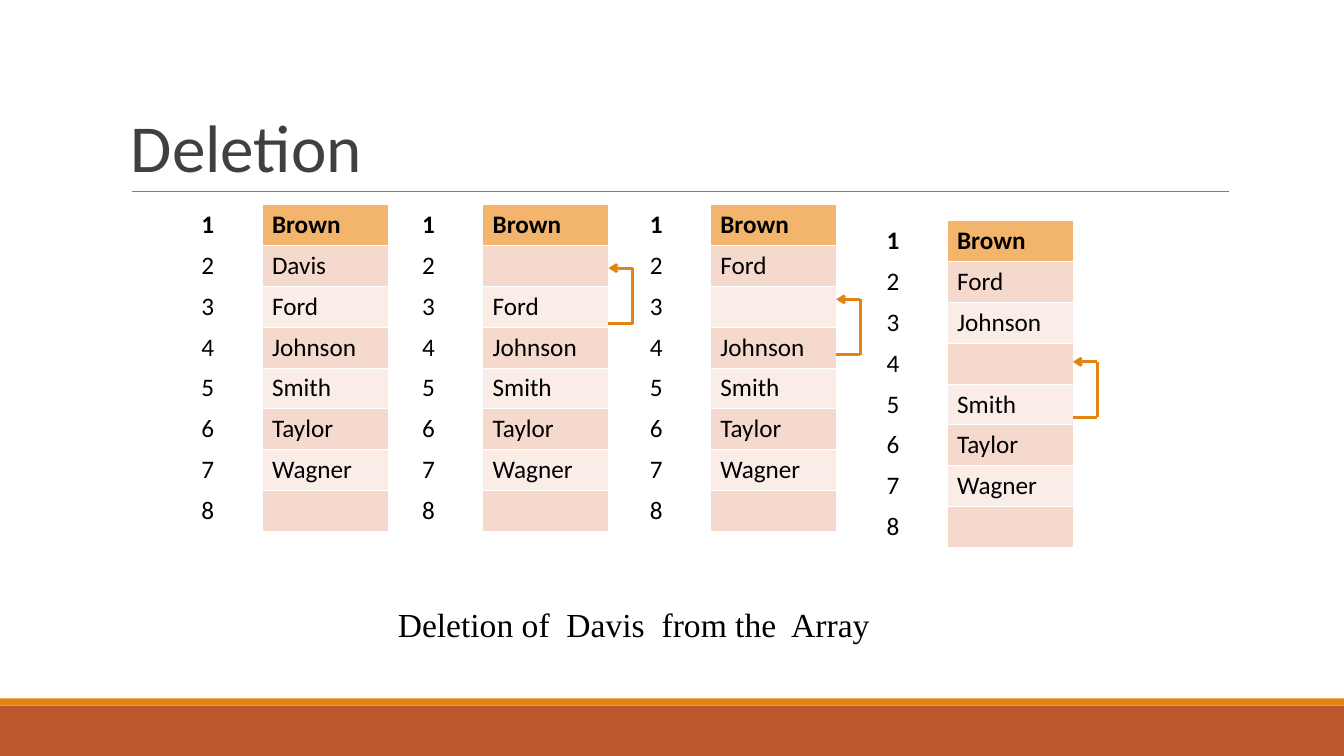
import pptx
import pptx.util
import pptx.dml.color
import pptx.enum.shapes
import pptx.enum.text
import pptx.oxml
import pptx.oxml.ns
from lxml import etree

Inches = pptx.util.Inches
Pt = pptx.util.Pt

COLOURS = {
    "white": "FFFFFF", "black": "000000", "title": "404040", "rule": "7F7F7F",
    "orange": "E48312", "rust": "BD582C",
    "header": "F3B56C", "band dark": "F5D9CC", "band light": "FAEDE7",
}
FORMATS = {
    "title": {"name": "Calibri", "size": Pt(48), "bold": False},
    "cell": {"name": "Calibri", "size": Pt(18), "bold": False},
    "header": {"name": "Calibri", "size": Pt(18), "bold": True},
    "caption": {"name": "Times New Roman", "size": Pt(24), "bold": False},
}
COLUMN_WIDTHS = (0.7, 1.25)
TABLE_HEIGHT = 3.24
BRACKET_WIDTH, BRACKET_HEIGHT = 0.24, 0.55

# Left, top, names in the array, and the height of the arrow tip
STAGES = [
    (1.9, 2.03, ["Brown", "Davis", "Ford", "Johnson", "Smith", "Taylor", "Wagner", ""], None),
    (4.09, 2.03, ["Brown", "", "Ford", "Johnson", "Smith", "Taylor", "Wagner", ""], 2.66),
    (6.35, 2.03, ["Brown", "Ford", "", "Johnson", "Smith", "Taylor", "Wagner", ""], 2.97),
    (8.7, 2.19, ["Brown", "Ford", "Johnson", "", "Smith", "Taylor", "Wagner", ""], 3.59),
]


def colour(name):
    return pptx.dml.color.RGBColor.from_string(COLOURS[name])


class SlideBuilder:
    def __init__(self, presentation):
        self.slide = presentation.slides.add_slide(presentation.slide_layouts[6])

    def add_words(self, paragraph, text, style, colour_name="black"):
        run = paragraph.add_run()
        run.text = text
        for attribute, value in FORMATS[style].items():
            setattr(run.font, attribute, value)
        run.font.color.rgb = colour(colour_name)

    def bar(self, left, top, width, height, colour_name):
        shape = self.slide.shapes.add_shape(
            pptx.enum.shapes.MSO_SHAPE.RECTANGLE,
            Inches(left), Inches(top), Inches(width), Inches(height))
        shape.shadow.inherit = False
        shape.fill.solid()
        shape.fill.fore_color.rgb = colour(colour_name)
        shape.line.fill.background()

    def text(self, left, top, width, height, text, style, colour_name="black",
             anchor="TOP", line_spacing=1.0):
        box = self.slide.shapes.add_textbox(
            Inches(left), Inches(top), Inches(width), Inches(height))
        frame = box.text_frame
        frame.word_wrap = True
        frame.vertical_anchor = pptx.enum.text.MSO_ANCHOR[anchor]
        frame.paragraphs[0].line_spacing = line_spacing
        self.add_words(frame.paragraphs[0], text, style, colour_name)

    def line(self, shapes, start, end, colour_name, width, arrow=False):
        connector = shapes.add_connector(
            pptx.enum.shapes.MSO_CONNECTOR.STRAIGHT,
            *(Inches(value) for value in start + end))
        connector.line.color.rgb = colour(colour_name)
        connector.line.width = Pt(width)
        if arrow:
            outline = connector.line._get_or_add_ln()
            etree.SubElement(outline, pptx.oxml.ns.qn("a:tailEnd"), type="arrow")
        etree.SubElement(connector._element.spPr, pptx.oxml.ns.qn("a:effectLst"))

    def borders(self, cell, top, bottom):
        properties = cell._tc.get_or_add_tcPr()
        for side, width in {"L": 0.45, "R": 0.45, "T": top, "B": bottom}.items():
            border = etree.SubElement(
                properties, pptx.oxml.ns.qn(f"a:ln{side}"), w=str(int(Pt(width))))
            fill = etree.SubElement(border, pptx.oxml.ns.qn("a:solidFill"))
            etree.SubElement(fill, pptx.oxml.ns.qn("a:srgbClr"), val=COLOURS["white"])

    def array(self, left, top, names):
        table = self.slide.shapes.add_table(
            len(names), 2, Inches(left), Inches(top),
            Inches(sum(COLUMN_WIDTHS)), Inches(TABLE_HEIGHT)).table
        table.first_row = True
        table.horz_banding = False
        for column, width in zip(table.columns, COLUMN_WIDTHS):
            column.width = Inches(width)
        for index, name in enumerate(names):
            table.rows[index].height = Inches(TABLE_HEIGHT / len(names))
            band = "header" if index == 0 else ("band light", "band dark")[index % 2]
            number_cell, name_cell = table.rows[index].cells
            for cell, text in ((number_cell, str(index + 1)), (name_cell, name)):
                self.borders(cell, 1.47 if index == 1 else 0.45,
                             1.47 if index == 0 else 0.45)
                if text:
                    self.add_words(cell.text_frame.paragraphs[0], text,
                                   "header" if index == 0 else "cell")
            number_cell.fill.background()
            name_cell.fill.solid()
            name_cell.fill.fore_color.rgb = colour(band)

    def bracket(self, left, tip):
        right, base = left + BRACKET_WIDTH, tip + BRACKET_HEIGHT
        corners = [(left, base), (right, base), (right, tip), (left, tip)]
        group = self.slide.shapes.add_group_shape()
        for start, end in zip(corners, corners[1:]):
            self.line(group.shapes, start, end, "orange", 2, arrow=end == corners[-1])


def main():
    presentation = pptx.Presentation()
    presentation.slide_width = Inches(13.34)
    presentation.slide_height = Inches(7.5)
    builder = SlideBuilder(presentation)

    # Footer bars and title
    builder.bar(0, 7, 13.34, 0.5, "rust")
    builder.bar(0, 6.93, 13.34, 0.07, "orange")
    builder.line(builder.slide.shapes, (1.31, 1.9), (12.2, 1.9), "rule", 0.5)
    builder.text(1.2, 0.31, 11, 1.59, "Deletion", "title", "title", "BOTTOM", 0.85)

    # Stages of the array, with the move that fills each gap
    for left, top, names, tip in STAGES:
        builder.array(left, top, names)
        if tip is not None:
            builder.bracket(left + sum(COLUMN_WIDTHS), tip)

    # Caption
    builder.text(3.85, 5.94, 5.62, 0.5, "Deletion of  Davis  from the  Array", "caption")

    presentation.save("out.pptx")


if __name__ == "__main__":
    main()
